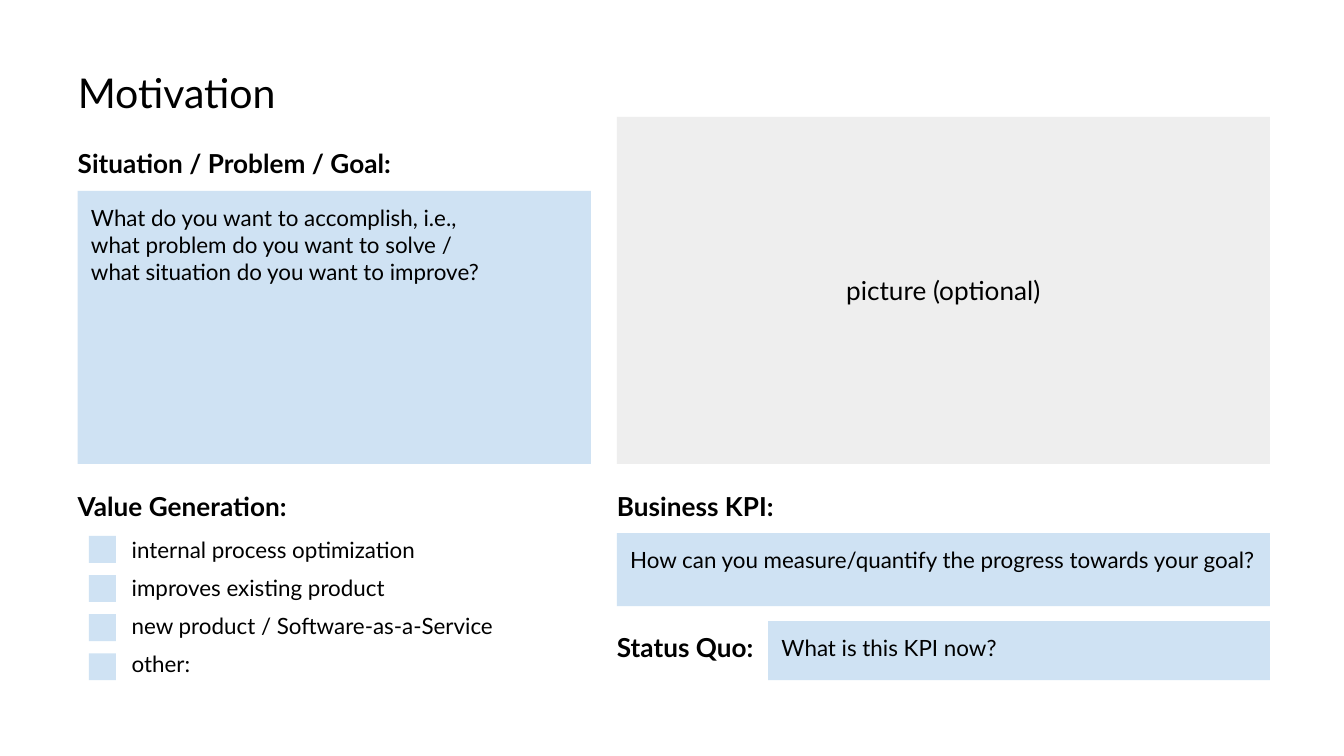
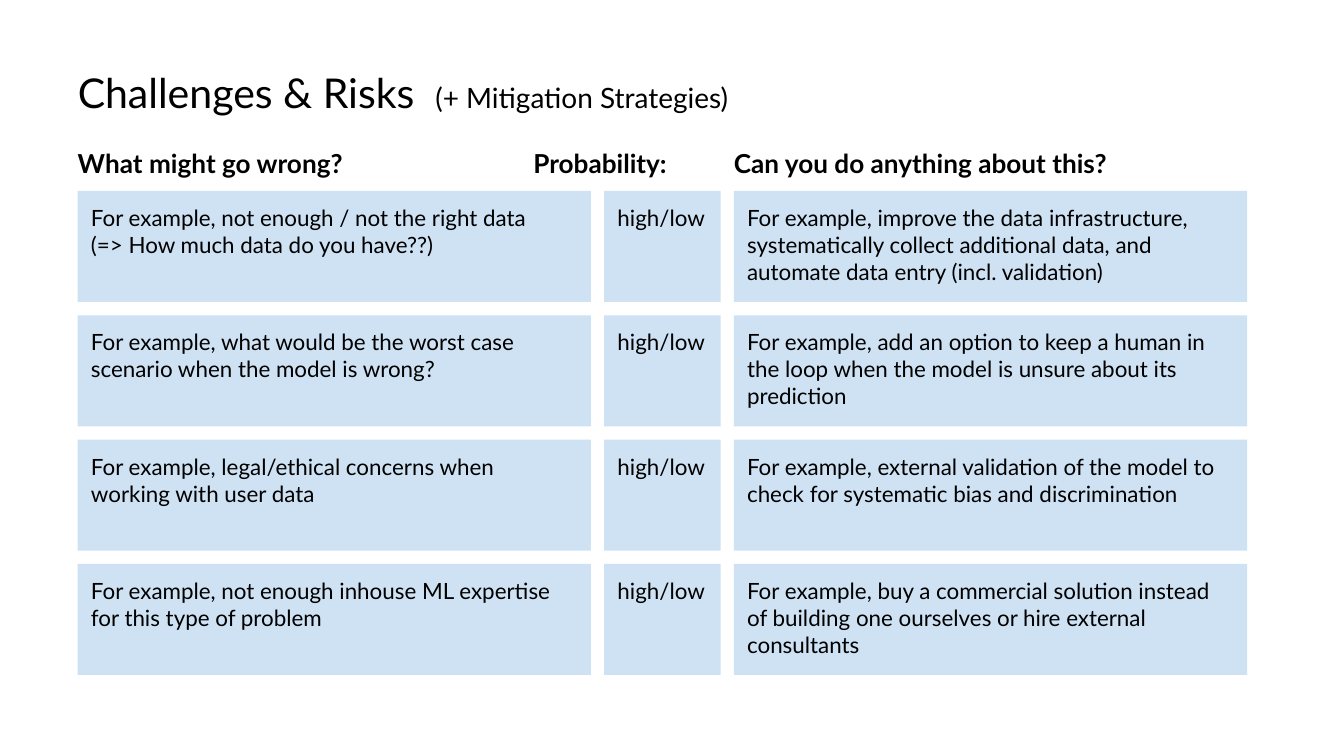
"""Build the motivation and the challenges slides of a project canvas."""
from pptx import Presentation
from pptx.dml.color import RGBColor
from pptx.enum.shapes import MSO_SHAPE
from pptx.enum.text import MSO_ANCHOR, MSO_AUTO_SIZE, PP_ALIGN
from pptx.util import Cm, Pt

RECT = MSO_SHAPE.RECTANGLE
TOP, MIDDLE = MSO_ANCHOR.TOP, MSO_ANCHOR.MIDDLE
LEFT, CENTER = PP_ALIGN.LEFT, PP_ALIGN.CENTER
GROW, FIXED = MSO_AUTO_SIZE.SHAPE_TO_FIT_TEXT, MSO_AUTO_SIZE.NONE

BLACK = RGBColor(0x00, 0x00, 0x00)
BLUE = RGBColor(0xCF, 0xE2, 0xF3)
GRAY = RGBColor(0xEE, 0xEE, 0xEE)

TITLE_ONLY = 5
FONT = "Lato"
MARGIN = 1.47
COL_W = 9.7
RIGHT_X, RIGHT_W = 11.66, 12.34
HEAD_Y, BODY_Y, LOWER_Y = 2.79, 3.61, 9.27
HEAD_H = 0.61
PAD = 0.25
GAP = 0.25
CHECK_X, CHECK_Y, CHECK_SIZE, CHECK_STEP = 1.68, 10.13, 0.51, 0.74
LABEL_X, LABEL_W, LABEL_STEP = 2.49, 8.69, 0.72
RISK_W, RISK_H = (COL_W, 2.2, COL_W), 2.1

VALUES = [
    "internal process optimization",
    "improves existing product",
    "new product / Software-as-a-Service",
    "other:",
]
RISK_HEADS = [
    (MARGIN, 6.99, "What might go wrong?"),
    (10.08, 2.74, "Probability:"),
    (13.87, COL_W, "Can you do anything about this?"),
]
RISKS = [
    (["For example, not enough / not the right data",
      "(=> How much data do you have??)"],
     ["For example, improve the data infrastructure, systematically collect "
      "additional data, and automate data entry (incl. validation)"]),
    (["For example, what would be the worst case scenario when the model is wrong?"],
     ["For example, add an option to keep a human in the loop when the model "
      "is unsure about its prediction"]),
    (["For example, legal/ethical concerns when working with user data"],
     ["For example, external validation of the model to check for systematic "
      "bias and discrimination"]),
    (["For example, not enough inhouse ML expertise for this type of problem"],
     ["For example, buy a commercial solution instead of building one "
      "ourselves or hire external consultants"]),
]


def set_attrs(obj, values):
    """Set each attribute of obj named in values."""
    for name, value in values.items():
        setattr(obj, name, value)


def set_frame(tf, pad_x=0, pad_y=0, anchor=TOP, auto_size=GROW):
    """Set the insets, anchor and fitting of a text frame."""
    set_attrs(tf, {
        "word_wrap": True, "auto_size": auto_size, "vertical_anchor": anchor,
        "margin_left": Cm(pad_x), "margin_right": Cm(pad_x),
        "margin_top": Cm(pad_y), "margin_bottom": Cm(pad_y),
    })


def add_run(p, text, size, bold=False):
    """Append a formatted run to a paragraph."""
    r = p.add_run()
    r.text = text
    set_attrs(r.font, {"name": FONT, "size": Pt(size), "bold": bold})
    r.font.color.rgb = BLACK


def add_title(s, width, *runs):
    """Place the title and fill it with (text, size) runs."""
    sp = s.shapes.title
    set_attrs(sp, {"left": Cm(MARGIN), "top": Cm(1.27),
                   "width": Cm(width), "height": Cm(0.94)})
    set_frame(sp.text_frame)
    p = sp.text_frame.paragraphs[0]
    p.alignment = LEFT
    for text, size in runs:
        add_run(p, text, size)


def add_text(s, x, y, w, h, text, size=14, bold=True, pad_y=0):
    """Add a one-line text, by default a section heading."""
    sp = s.shapes.add_textbox(Cm(x), Cm(y), Cm(w), Cm(h))
    set_frame(sp.text_frame, pad_y=pad_y)
    add_run(sp.text_frame.paragraphs[0], text, size, bold)


def add_box(s, x, y, w, h, lines=(), fill=BLUE, size=12, anchor=TOP, align=LEFT):
    """Add a filled rectangle with one paragraph for each line."""
    sp = s.shapes.add_shape(RECT, Cm(x), Cm(y), Cm(w), Cm(h))
    sp.shadow.inherit = False
    sp.fill.solid()
    sp.fill.fore_color.rgb = fill
    sp.line.fill.background()
    tf = sp.text_frame
    set_frame(tf, PAD, PAD, anchor, FIXED)
    for i, line in enumerate(lines):
        p = tf.add_paragraph() if i else tf.paragraphs[0]
        p.alignment = align
        add_run(p, line, size)


def add_checklist(s, labels):
    """Add a column of check boxes with their labels."""
    for i, label in enumerate(labels):
        add_box(s, CHECK_X, CHECK_Y + i * CHECK_STEP, CHECK_SIZE, CHECK_SIZE)
        add_text(s, LABEL_X, CHECK_Y + i * LABEL_STEP, LABEL_W, CHECK_SIZE,
                 label, size=12, bold=False)


def add_risk_grid(s, risks):
    """Add one row of three boxes for each risk."""
    for i, (risk, remedy) in enumerate(risks):
        x, y = MARGIN, BODY_Y + i * (RISK_H + GAP)
        for w, lines in zip(RISK_W, (risk, ["high/low"], remedy)):
            add_box(s, x, y, w, RISK_H, lines)
            x += w + GAP


def build_motivation(prs):
    """Build the slide on problem, value and KPI."""
    s = prs.slides.add_slide(prs.slide_layouts[TITLE_ONLY])
    add_title(s, 5.79, ("Motivation", 22))
    add_text(s, MARGIN, HEAD_Y, COL_W, HEAD_H, "Situation / Problem / Goal:")
    add_box(s, MARGIN, BODY_Y, COL_W, 5.16, [
        "What do you want to accomplish, i.e.,",
        "what problem do you want to solve /",
        "what situation do you want to improve?",
    ])
    add_box(s, RIGHT_X, 2.21, RIGHT_W, 6.56, ["picture (optional)"],
            fill=GRAY, size=14, anchor=MIDDLE, align=CENTER)
    add_text(s, MARGIN, LOWER_Y, 4.7, HEAD_H, "Value Generation:")
    add_checklist(s, VALUES)
    add_text(s, RIGHT_X, LOWER_Y, 4, HEAD_H, "Business KPI:")
    add_box(s, RIGHT_X, 10.08, RIGHT_W, 1.38,
            ["How can you measure/quantify the progress towards your goal?"])
    add_text(s, RIGHT_X, 11.68, 3.07, 1.12, "Status Quo:", pad_y=PAD)
    add_box(s, 14.52, 11.74, 9.48, 1.12, ["What is this KPI now?"])


def build_challenges(prs):
    """Build the slide on risks and their mitigation."""
    s = prs.slides.add_slide(prs.slide_layouts[TITLE_ONLY])
    add_title(s, 16.92, ("Challenges & Risks  ", 22),
              ("(+ Mitigation Strategies)", 15))
    for x, w, text in RISK_HEADS:
        add_text(s, x, HEAD_Y, w, HEAD_H, text)
    add_risk_grid(s, RISKS)


def main():
    """Build and save the presentation."""
    prs = Presentation()
    set_attrs(prs, {"slide_width": Cm(25.4), "slide_height": Cm(14.29)})
    build_motivation(prs)
    build_challenges(prs)
    prs.save("out.pptx")


if __name__ == "__main__":
    main()
